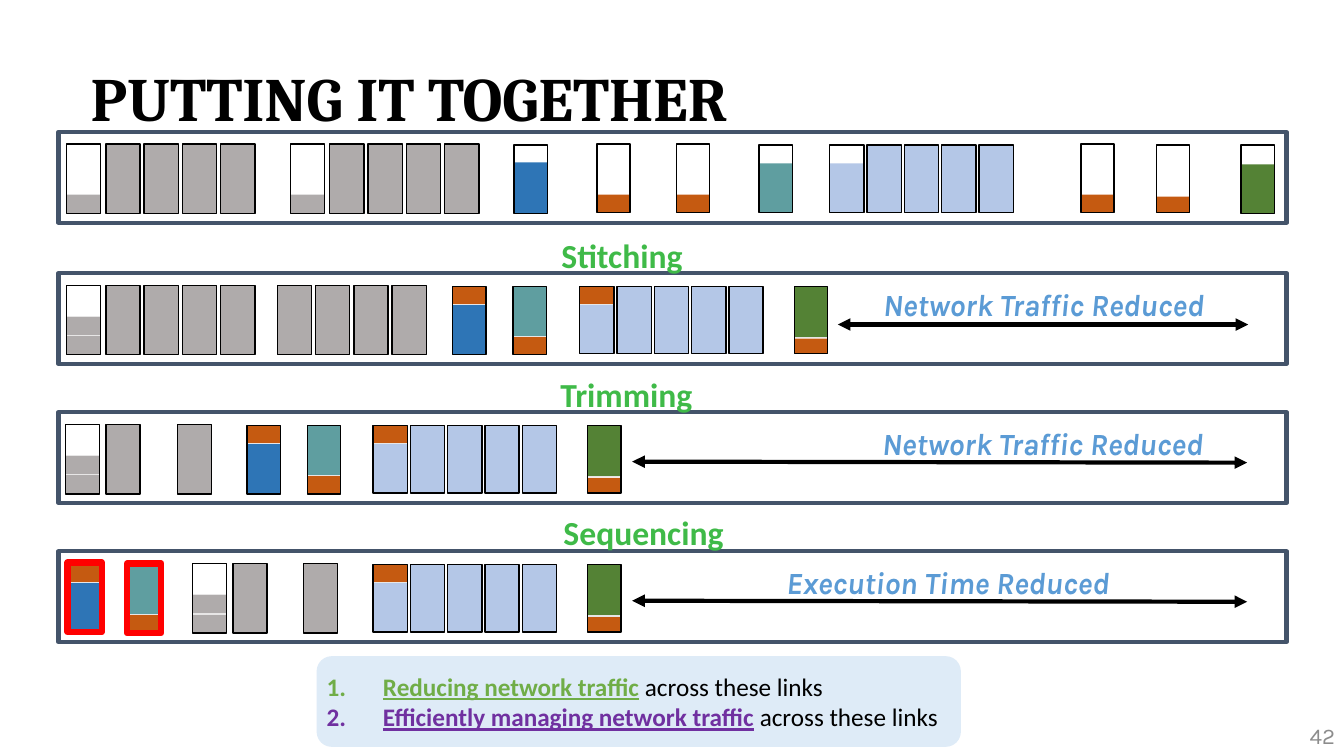
from pptx import Presentation
from pptx.dml.color import RGBColor
from pptx.enum.shapes import MSO_CONNECTOR, MSO_SHAPE
from pptx.enum.text import MSO_ANCHOR, PP_ALIGN
from pptx.oxml.ns import qn
from pptx.util import Inches, Pt
from lxml import etree

RECT, ROUNDED = MSO_SHAPE.RECTANGLE, MSO_SHAPE.ROUNDED_RECTANGLE
STRAIGHT = MSO_CONNECTOR.STRAIGHT
TOP, MIDDLE = MSO_ANCHOR.TOP, MSO_ANCHOR.MIDDLE
LEFT, RIGHT = PP_ALIGN.LEFT, PP_ALIGN.RIGHT

GRAY, ORANGE, BLUE, TEAL = "AFABAB", "C55A11", "2E75B6", "5F9EA0"
SKY, GREEN, BLACK, NAVY = "B4C7E7", "548235", "000000", "44546A"
RED, DIVIDER = "FF0000", "E7E6E6"

# kind: (offset in row, width, height, body fill, parts as (offset, height, colour, edge))
PACKETS = {
    "gray": (0.12, 0.34, 0.69, GRAY, []),
    "gray low": (0.12, 0.34, 0.69, None, [(0.5, 0.19, GRAY, None)]),
    "gray double": (0.12, 0.34, 0.69, None,
                    [(0.5, 0.19, GRAY, None), (0.31, 0.19, GRAY, DIVIDER)]),
    "sky": (0.13, 0.34, 0.67, SKY, []),
    "sky part": (0.13, 0.34, 0.67, None, [(0.18, 0.49, SKY, None)]),
    "sky stitched": (0.13, 0.34, 0.67, None,
                     [(0.18, 0.49, SKY, None), (0, 0.18, ORANGE, DIVIDER)]),
    "blue": (0.13, 0.33, 0.68, None, [(0.17, 0.51, BLUE, None)]),
    "blue stitched": (0.13, 0.33, 0.68, None,
                      [(0.18, 0.5, BLUE, None), (0, 0.18, ORANGE, DIVIDER)]),
    "teal": (0.13, 0.33, 0.67, None, [(0.18, 0.49, TEAL, None)]),
    "teal stitched": (0.13, 0.33, 0.68, None,
                      [(0.49, 0.19, ORANGE, None), (0, 0.5, TEAL, DIVIDER)]),
    "orange low": (0.12, 0.33, 0.68, None, [(0.5, 0.18, ORANGE, None)]),
    "orange thin": (0.13, 0.33, 0.67, None, [(0.51, 0.16, ORANGE, None)]),
    "green": (0.13, 0.33, 0.68, None, [(0.19, 0.49, GREEN, None)]),
    "green stitched": (0.13, 0.33, 0.67, None,
                       [(0.52, 0.15, ORANGE, None), (0, 0.51, GREEN, DIVIDER)]),
}
PITCH = {"gray": 0.38, "sky": 0.37}

# row top, then (kind, left, count)
ROWS = [
    (1.31, [("gray low", 0.66, 1), ("gray", 1.05, 4), ("gray low", 2.88, 1),
            ("gray", 3.27, 4), ("blue", 5.1, 1), ("orange low", 5.92, 1),
            ("orange low", 6.71, 1), ("teal", 7.53, 1), ("sky part", 8.23, 1),
            ("sky", 8.6, 4), ("orange low", 10.72, 1), ("orange thin", 11.47, 1),
            ("green", 12.31, 1)]),
    (2.71, [("gray double", 0.66, 1), ("gray", 1.05, 4), ("gray", 2.75, 4),
            ("blue stitched", 4.49, 1), ("teal stitched", 5.09, 1),
            ("sky stitched", 5.75, 1), ("sky", 6.12, 4), ("green stitched", 7.88, 1)]),
    (4.09, [("gray double", 0.65, 1), ("gray", 1.05, 1), ("gray", 1.76, 1),
            ("blue stitched", 2.45, 1), ("teal stitched", 3.05, 1),
            ("sky stitched", 3.7, 1), ("sky", 4.07, 4), ("green stitched", 5.83, 1)]),
    (5.47, [("blue stitched", 0.67, 1), ("teal stitched", 1.28, 1),
            ("gray double", 1.91, 1), ("gray", 2.31, 1), ("gray", 3.01, 1),
            ("sky stitched", 3.7, 1), ("sky", 4.07, 4), ("green stitched", 5.83, 1)]),
]
STEPS = [("Stitching", 4.97, 2.28), ("Trimming", 4.96, 3.66), ("Sequencing", 4.99, 5.03)]
SAVINGS = [
    ("Network Traffic Reduced", 8.76, 2.83, (8.31, 3.22, 12.38, 3.22)),
    ("Network Traffic Reduced", 8.75, 4.21, (6.27, 4.58, 12.37, 4.59)),
    ("Execution Time Reduced", 7.8, 5.59, (6.27, 5.96, 12.37, 5.97)),
]
GOALS = [("Reducing network traffic", "70AD47"),
         ("Efficiently managing network traffic", "7030A0")]


def rgb(value):
    """Turn a hex string into a colour."""
    return RGBColor.from_string(value)


def add_box(s, x, y, w, h, fill=None, edge=None, weight=1, kind=RECT):
    """Add a preset shape with optional fill and outline."""
    sp = s.shapes.add_shape(kind, Inches(x), Inches(y), Inches(w), Inches(h))
    sp.shadow.inherit = False
    if fill:
        sp.fill.solid()
        sp.fill.fore_color.rgb = rgb(fill)
    else:
        sp.fill.background()
    if edge:
        sp.line.color.rgb = rgb(edge)
        sp.line.width = Pt(weight)
    else:
        sp.line.fill.background()


def add_packet(s, kind, x, row_top):
    """Add one packet: its coloured parts and its outline."""
    dy, w, h, fill, parts = PACKETS[kind]
    y = row_top + dy
    for offset, height, colour, edge in parts:
        add_box(s, x, y + offset, w, height, colour, edge)
    add_box(s, x, y, w, h, fill, BLACK)


def add_run(p, text, size=18, font="Calibri", color=BLACK, bold=False,
            italic=False, underline=False):
    """Add formatted text to a paragraph."""
    r = p.add_run()
    r.text = text
    r.font.size, r.font.name = Pt(size), font
    r.font.bold, r.font.italic, r.font.underline = bold, italic, underline
    r.font.color.rgb = rgb(color)


def add_text_box(s, x, y, w, h, inset=True, anchor=TOP):
    """Add a wrapping text box and return its text frame."""
    tf = s.shapes.add_textbox(Inches(x), Inches(y), Inches(w), Inches(h)).text_frame
    tf.word_wrap = True
    tf.vertical_anchor = anchor
    if not inset:
        tf.margin_left = tf.margin_right = tf.margin_top = tf.margin_bottom = 0
    return tf


def set_indent(p, left, first=0, numbered=False):
    """Indent a paragraph and number it if asked."""
    pPr = p._p.get_or_add_pPr()
    pPr.set("marL", str(Inches(left)))
    pPr.set("indent", str(Inches(first)))
    if numbered:
        etree.SubElement(pPr, qn("a:buFont"), typeface="+mj-lt")
        etree.SubElement(pPr, qn("a:buAutoNum"), type="arabicPeriod")


def add_double_arrow(s, x1, y1, x2, y2):
    """Add a thick line with an arrowhead at each end."""
    c = s.shapes.add_connector(STRAIGHT, Inches(x1), Inches(y1), Inches(x2), Inches(y2))
    c.line.color.rgb = rgb(BLACK)
    c.line.width = Pt(3)
    ln = c.line._get_or_add_ln()
    for tag in ("a:headEnd", "a:tailEnd"):
        etree.SubElement(ln, qn(tag), type="triangle")
    etree.SubElement(c._element.spPr, qn("a:effectLst"))


def add_title(s, text):
    """Place and format the title placeholder."""
    sp = s.shapes.title
    sp.left, sp.top, sp.width, sp.height = Inches(0.8), Inches(0.28), Inches(7.16), Inches(1.45)
    sp.text_frame.vertical_anchor = MIDDLE
    p = sp.text_frame.paragraphs[0]
    p.alignment, p.line_spacing = LEFT, 0.9
    add_run(p, text, size=44, font="Cambria", bold=True)


def add_goals(s):
    """Add the numbered goals on their rounded panel."""
    add_box(s, 3.14, 6.51, 6.39, 0.9, "DEEBF7", kind=ROUNDED)
    tf = add_text_box(s, 3.14, 6.61, 6.39, 0.71)
    for i, (goal, color) in enumerate(GOALS):
        p = tf.add_paragraph() if i else tf.paragraphs[0]
        set_indent(p, 0.56, -0.56, numbered=True)
        add_run(p, goal, color=color, bold=True, underline=True)
        add_run(p, " across these links")


def main():
    """Build the slide and save it."""
    prs = Presentation()
    prs.slide_width, prs.slide_height = Inches(13.33), Inches(7.5)
    s = prs.slides.add_slide(prs.slide_layouts[5])
    add_title(s, "PUTTING IT TOGETHER")
    for top, packets in ROWS:
        for kind, left, count in packets:
            for i in range(count):
                add_packet(s, kind, left + i * PITCH.get(kind, 0), top)
        add_box(s, 0.58, top, 12.18, 0.9, edge=NAVY, weight=3)
    for x, y in ((0.67, 5.58), (1.26, 5.59)):
        add_box(s, x, y, 0.34, 0.69, edge=RED, weight=4.5)
    for step, x, y in STEPS:
        p = add_text_box(s, x, y, 3.35, 0.44).paragraphs[0]
        set_indent(p, 0.5)
        add_run(p, step, size=24, color="3FBA48", bold=True)
    for saving, x, y, ends in SAVINGS:
        p = add_text_box(s, x, y, 3.44, 0.37, inset=False).paragraphs[0]
        add_run(p, saving, size=22, font="Karla", color="5B9BD5", bold=True, italic=True)
        add_double_arrow(s, *ends)
    add_goals(s)
    p = add_text_box(s, 10.34, 7.1, 3, 0.4, anchor=MIDDLE).paragraphs[0]
    p.alignment = RIGHT
    add_run(p, "42", size=16, font="Karla", color="8C8C8C")
    prs.save("out.pptx")


if __name__ == "__main__":
    main()
